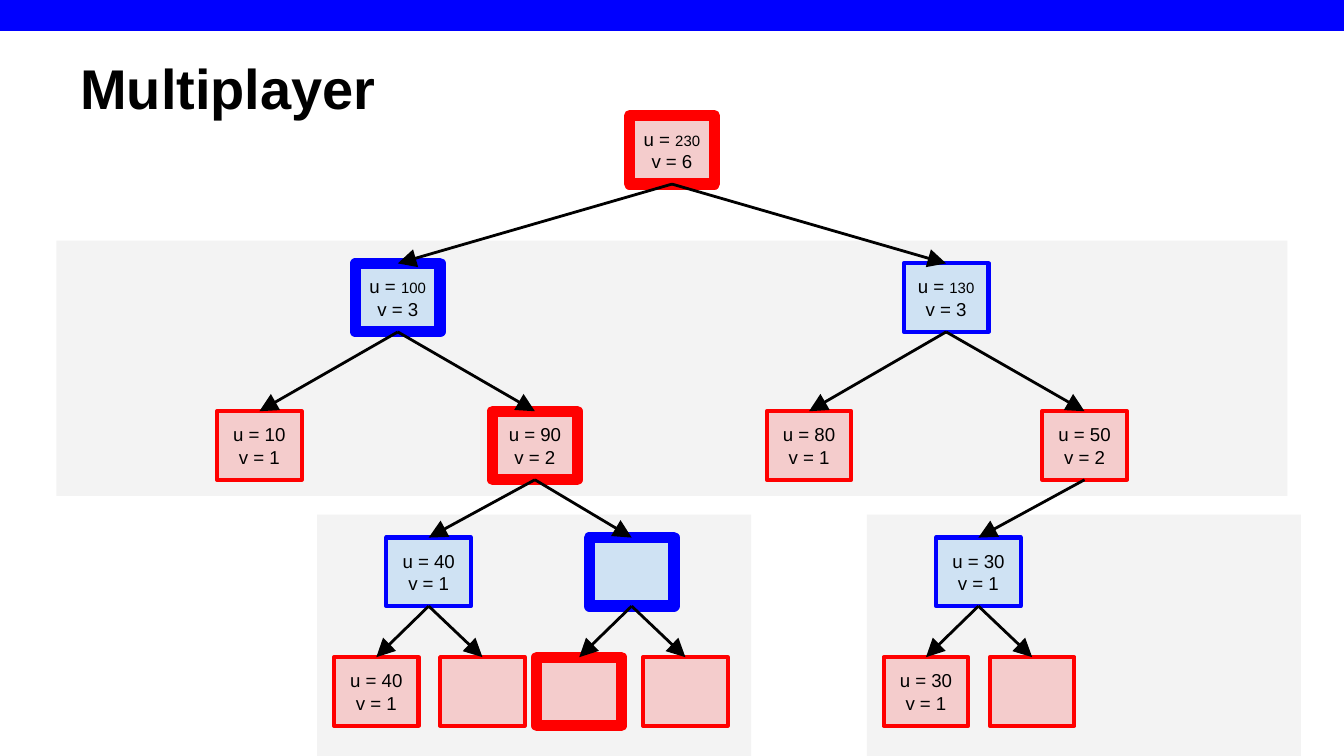
from lxml import etree
from pptx import Presentation
from pptx.dml.color import RGBColor
from pptx.enum import shapes, text
from pptx.oxml.ns import qn
from pptx.util import Inches, Pt

COLORS = {"blue": "0000FF", "red": "FF0000", "pale blue": "CFE2F3",
          "pale red": "F4CCCC", "panel": "F3F3F3", "ink": "000000"}
TITLE = "Multiplayer"
PANELS = [(0.42, 1.79, 9.16, 1.9), (2.36, 3.83, 3.23, 2.14), (6.45, 3.83, 3.23, 2.14)]

# Tree levels: colour, top, nodes as (centre x, parent index, (u, v) or None, on chosen route)
LEVELS = [
    ("red", 0.86, [(5, None, (230, 6), True)]),
    ("blue", 1.96, [(2.96, 0, (100, 3), True), (7.04, 0, (130, 3), False)]),
    ("red", 3.06, [(1.93, 0, (10, 1), False), (3.98, 0, (90, 2), True),
                   (6.02, 1, (80, 1), False), (8.07, 1, (50, 2), False)]),
    ("blue", 4, [(3.19, 1, (40, 1), False), (4.7, 1, None, True),
                 (7.28, 3, (30, 1), False)]),
    ("red", 4.89, [(2.8, 0, (40, 1), False), (3.59, 0, None, False),
                   (4.31, 1, None, True), (5.1, 1, None, False),
                   (6.89, 2, (30, 1), False), (7.68, 2, None, False)]),
]
NODE_W, NODE_H = 0.63, 0.51


def color(name):
    return RGBColor.from_string(COLORS[name])


def add_box(left, top, width, height, fill):
    box = page.shapes.add_shape(shapes.MSO_SHAPE.RECTANGLE, Inches(left), Inches(top),
                                Inches(width), Inches(height))
    box.shadow.inherit = False
    box.fill.solid()
    box.fill.fore_color.rgb = color(fill)
    box.line.fill.background()
    return box


def set_margins(frame):
    frame.margin_left = frame.margin_right = Inches(0.1)
    frame.margin_top = frame.margin_bottom = Inches(0.1)


def style(span, size):
    span.font.name = "Arial"
    span.font.size = Pt(size)
    span.font.color.rgb = color("ink")


def add_node(center, top, hue, values, chosen):
    box = add_box(center - NODE_W / 2, top, NODE_W, NODE_H, "pale " + hue)
    box.line.color.rgb = color(hue)
    box.line.width = Pt(6 if chosen else 2.25)
    etree.SubElement(box.line._get_or_add_ln(), qn("a:round"))
    if values:
        frame = box.text_frame
        set_margins(frame)
        frame.word_wrap = False
        frame.vertical_anchor = text.MSO_ANCHOR.MIDDLE
        for label, value in zip("uv", values):
            para = frame.paragraphs[0] if label == "u" else frame.add_paragraph()
            para.alignment = text.PP_ALIGN.CENTER
            # Three-digit values are set smaller to fit the node
            if value >= 100:
                parts = [(f"{label} = ", 10), (str(value), 8)]
            else:
                parts = [(f"{label} = {value}", 10)]
            for words, size in parts:
                span = para.add_run()
                span.text = words
                style(span, size)
    return box


def add_arrow(parent, child):
    arrow = page.shapes.add_connector(shapes.MSO_CONNECTOR.STRAIGHT, 0, 0, 0, 0)
    arrow.begin_connect(parent, 2)
    arrow.end_connect(child, 0)
    arrow.line.color.rgb = color("ink")
    arrow.line.width = Pt(1.5)
    line = arrow.line._get_or_add_ln()
    etree.SubElement(line, qn("a:round"))
    etree.SubElement(line, qn("a:tailEnd"), type="triangle", w="lg", len="lg")
    etree.SubElement(arrow._element.spPr, qn("a:effectLst"))


deck = Presentation()
deck.slide_width = Inches(10)
deck.slide_height = deck.slide_width * 9 // 16
page = deck.slides.add_slide(deck.slide_layouts[6])

# Top bar and background panels
add_box(0, 0, 10, 0.23, "blue")
for panel in PANELS:
    add_box(*panel, "panel")

# Title
title = page.shapes.add_textbox(Inches(0.5), Inches(0.06), Inches(9), Inches(0.94))
title.text_frame.text = TITLE
title.text_frame.word_wrap = True
title.text_frame.vertical_anchor = text.MSO_ANCHOR.BOTTOM
set_margins(title.text_frame)
heading = title.text_frame.paragraphs[0].runs[0]
style(heading, 30)
heading.font.bold = True

# Tree: all nodes first, then the arrows over them
edges = []
parents = []
for hue, top, nodes in LEVELS:
    boxes = []
    for center, parent, values, chosen in nodes:
        box = add_node(center, top, hue, values, chosen)
        boxes.append(box)
        if parent is not None:
            edges.append((parents[parent], box))
    parents = boxes
for parent, child in edges:
    add_arrow(parent, child)

deck.save("out.pptx")
